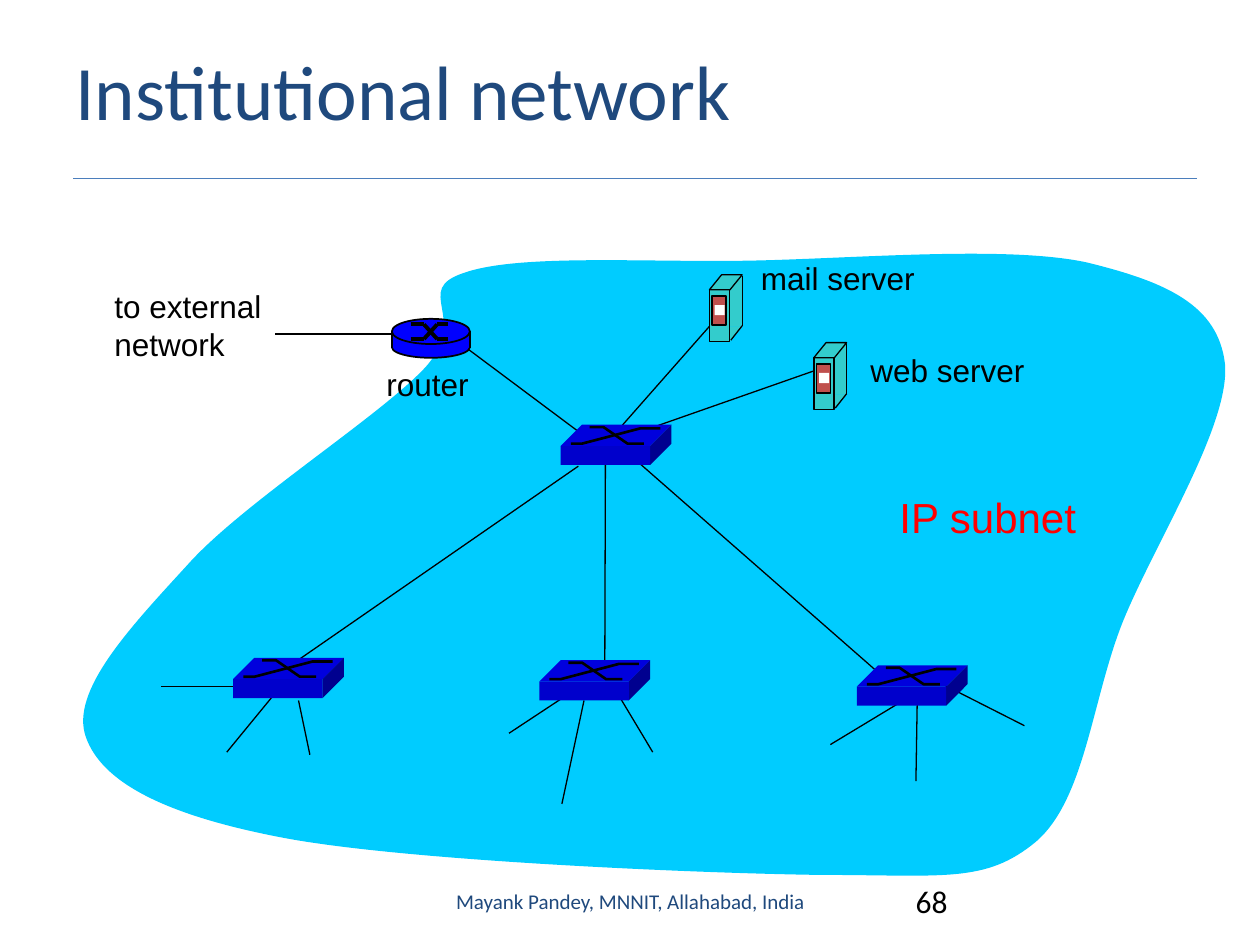
from dataclasses import dataclass
from itertools import pairwise
from typing import Optional

from lxml import etree
from pptx import Presentation
from pptx.dml.color import RGBColor
from pptx.enum.shapes import MSO_CONNECTOR, MSO_SHAPE
from pptx.enum.text import MSO_ANCHOR, MSO_AUTO_SIZE, PP_ALIGN
from pptx.oxml.ns import qn
from pptx.util import Pt

STRAIGHT = MSO_CONNECTOR.STRAIGHT
RECTANGLE, ELLIPSE = MSO_SHAPE.RECTANGLE, MSO_SHAPE.OVAL
PARALLELOGRAM = MSO_SHAPE.PARALLELOGRAM
TOP, MIDDLE = MSO_ANCHOR.TOP, MSO_ANCHOR.MIDDLE
LEFT, CENTER = PP_ALIGN.LEFT, PP_ALIGN.CENTER
NO_FIT, GROW = MSO_AUTO_SIZE.NONE, MSO_AUTO_SIZE.SHAPE_TO_FIT_TEXT
BOTTOM_SIDE = 2


@dataclass(frozen=True)
class Theme:
    heading: str = "1F497D"
    rule: str = "4B7EBC"
    ink: str = "000000"
    accent: str = "FF0000"
    cloud: str = "00CCFF"
    server: str = "33CCCC"
    slot: str = "C0504D"
    light: str = "FFFFFF"
    router: str = "0000FF"
    switch_front: str = "0000CC"
    switch_top: str = "0000DD"
    switch_side: str = "00008F"
    title_size: float = 44
    subnet_size: float = 24
    label_size: float = 18
    footer_size: float = 12
    label_font: str = "Arial"
    heading_font: str = "Calibri"


@dataclass(frozen=True)
class Link:
    start: tuple
    end: tuple
    below_switch: Optional[str] = None


@dataclass(frozen=True)
class Label:
    text: str
    box: tuple
    size: float
    color: str
    font: str
    wrap: bool = False
    anchor: int = TOP
    align: int = LEFT


THEME = Theme()

# Curve of the subnet: a start point, then two control points and an end per arc
CLOUD = [
    (700, 208),
    (696, 174), (666, 161), (621, 150), (575, 140), (486, 148), (427, 149),
    (368, 150), (296, 145), (265, 156), (235, 166), (269, 181), (243, 210),
    (217, 238), (138, 288), (107, 323), (74, 359), (40, 395), (49, 421),
    (58, 447), (94, 466), (163, 479), (233, 492), (397, 499), (468, 500),
    (540, 500), (563, 505), (592, 481), (621, 456), (624, 397), (643, 352),
    (662, 307), (703, 242), (700, 208),
]
SWITCHES = {"core": (320.4, 254.9), "left": (133.2, 388.1),
            "middle": (308.2, 389.5), "right": (489.6, 392.4)}
SERVERS = [(465.1, 195.8), (405.4, 157)]
ROUTER = (223.9, 182.2)
LINKS = [
    # Stubs to the hosts
    Link((146, 392.4), (92, 392.4)),
    Link((156.2, 397.4), (129.6, 429.8)),
    Link((170.6, 400.3), (177.1, 431.3)),
    Link((324.7, 396.7), (290.9, 419)),
    Link((333.4, 398.2), (321.1, 459.4), "middle"),
    Link((350.6, 392.4), (373, 429.8)),
    Link((516.2, 400.3), (474.5, 425.5)),
    Link((524.2, 397.4), (523.4, 446.4)),
    Link((535.7, 389.5), (585.4, 414.7)),
    # Core switch to the lower switches
    Link((330.5, 266.4), (169.2, 378)),
    Link((345.6, 265.7), (345.6, 381.6), "core"),
    Link((360.7, 260.6), (506.2, 388.1)),
    # Core switch to servers and router, router to outside
    Link((369.4, 245.5), (465.8, 211.7)),
    Link((352.8, 246.2), (405.4, 186.5)),
    Link((266.4, 198.7), (334.8, 249.8)),
    Link((223.9, 190.8), (157, 190.8)),
]
NETWORK_TEXT = (THEME.label_size, THEME.ink, THEME.label_font)
LABELS = [
    Label("to external\nnetwork", (58.3, 160.6, 108.7, 50.4), *NETWORK_TEXT),
    Label("router", (213.8, 205.2, 69.1, 28.8), *NETWORK_TEXT),
    Label("IP subnet", (506.9, 277.2, 122.4, 36), THEME.subnet_size,
          THEME.accent, THEME.label_font),
    Label("mail server", (427.7, 144.7, 107.3, 28.8), *NETWORK_TEXT),
    Label("web server", (490.3, 197.3, 107.3, 28.8), *NETWORK_TEXT),
    Label("Mayank Pandey, MNNIT, Allahabad, India", (246.2, 500.4, 228.2, 28.8),
          THEME.footer_size, THEME.heading, THEME.heading_font, True, MIDDLE, CENTER),
    Label("68", (516.2, 500.4, 167.8, 28.8), THEME.label_size,
          THEME.ink, THEME.heading_font, True),
]


def moved(origin: tuple, *points: tuple) -> list:
    return [(origin[0] + x, origin[1] + y) for x, y in points]


def paint(shape, fill: Optional[str], line: float = 0) -> None:
    shape.shadow.inherit = False
    if fill:
        shape.fill.solid()
        shape.fill.fore_color.rgb = RGBColor.from_string(fill)
    else:
        shape.fill.background()
    if line:
        shape.line.width = Pt(line)
        shape.line.color.rgb = RGBColor.from_string(THEME.ink)
    else:
        shape.line.fill.background()


def add_line(slide, start: tuple, end: tuple, width: float = 0.75, color: str = THEME.ink):
    connector = slide.shapes.add_connector(STRAIGHT, *map(Pt, (*start, *end)))
    connector.line.width = Pt(width)
    connector.line.color.rgb = RGBColor.from_string(color)
    etree.SubElement(connector._element.spPr, qn("a:effectLst"))
    return connector


def add_block(slide, kind: int, origin: tuple, box: tuple, fill: str, line: float = 0):
    x, y, width, height = box
    (left, top), = moved(origin, (x, y))
    shape = slide.shapes.add_shape(kind, *map(Pt, (left, top, width, height)))
    if kind == PARALLELOGRAM:
        shape.adjustments[0] = 0.81
    paint(shape, fill, line)
    return shape


def add_outline(slide, points: list, fill: Optional[str], line: float = 0):
    corners = [(Pt(x), Pt(y)) for x, y in points]
    builder = slide.shapes.build_freeform(*corners[0])
    builder.add_line_segments(corners[1:], close=fill is not None)
    shape = builder.convert_to_shape()
    paint(shape, fill, line)
    return shape


def add_cloud(slide) -> None:
    shape = add_outline(slide, CLOUD, THEME.cloud)
    # Turn each run of three straight segments into one Bézier arc
    segments = list(shape._element.iter(qn("a:lnTo")))
    for first, second, third in zip(segments[::3], segments[1::3], segments[2::3]):
        arc = etree.Element(qn("a:cubicBezTo"))
        first.addprevious(arc)
        for segment in (first, second, third):
            arc.append(segment[0])
            segment.getparent().remove(segment)


def add_server(slide, origin: tuple) -> None:
    add_block(slide, PARALLELOGRAM, origin, (0, 29.5, 18.7, 8.6), THEME.server)
    add_block(slide, RECTANGLE, origin, (9.8, 0, 8.6, 29.5), THEME.server)
    add_block(slide, RECTANGLE, origin, (0, 8.6, 11.5, 29.5), THEME.server, 0.75)
    add_block(slide, PARALLELOGRAM, origin, (0, 0, 18.7, 8.6), THEME.server, 0.75)
    for start, end in pairwise(moved(origin, (18.7, 0.7), (18.7, 29.2), (12.2, 37.4))):
        add_line(slide, start, end)
    add_block(slide, RECTANGLE, origin, (1.5, 12.2, 7.9, 16.6), THEME.slot, 0.75)
    add_block(slide, RECTANGLE, origin, (2.9, 17.3, 5.8, 5.8), THEME.light)


def add_router(slide, origin: tuple) -> None:
    add_block(slide, ELLIPSE, origin, (0, 10.1, 44.6, 12.2), THEME.router, 1)
    add_block(slide, RECTANGLE, origin, (0, 8.6, 44.6, 7.9), THEME.router)
    for x in (0, 44.6):
        add_line(slide, *moved(origin, (x, 7.2), (x, 16.6)), width=1)
    add_block(slide, ELLIPSE, origin, (0, 0, 44.6, 14.4), THEME.router, 1)
    for near, far in ((3.2, 11.5), (11.5, 3.2)):
        stroke = moved(origin, (10.8, near), (18.4, near), (25.9, far), (32.4, far))
        for start, end in pairwise(stroke):
            add_line(slide, start, end, 2.25)


def add_switch(slide, origin: tuple):
    width, height, depth = 51.1, 10.8, 12.2
    right = width + depth
    add_outline(slide, moved(origin, (0, 0), (depth, -depth), (right, -depth), (width, 0)),
                THEME.switch_top)
    add_outline(slide, moved(origin, (width, 0), (right, -depth), (right, height - depth),
                             (width, height)), THEME.switch_side)
    front = add_block(slide, RECTANGLE, origin, (0, 0, width, height), THEME.switch_front)
    for stroke in (((5.8, -1.4), (12.2, -1.4), (45.4, -10.1), (56.9, -10.1)),
                   ((16.6, -10.8), (24.5, -10.8), (38.2, -1.4), (47.5, -1.4))):
        add_outline(slide, moved(origin, *stroke), None, 1.5)
    return front


def write_text(shape, label: Label) -> None:
    shape.left, shape.top, shape.width, shape.height = map(Pt, label.box)
    frame = shape.text_frame
    frame.text = label.text
    frame_format = {"word_wrap": label.wrap, "vertical_anchor": label.anchor,
                    "auto_size": NO_FIT if label.wrap else GROW}
    for name, value in frame_format.items():
        setattr(frame, name, value)
    for paragraph in frame.paragraphs:
        paragraph.alignment = label.align
        for name, value in {"name": label.font, "size": Pt(label.size)}.items():
            setattr(paragraph.font, name, value)
        paragraph.font.color.rgb = RGBColor.from_string(label.color)


def main() -> None:
    presentation = Presentation()
    presentation.slide_width, presentation.slide_height = Pt(720), Pt(540)
    slide = presentation.slides.add_slide(presentation.slide_layouts[5])

    # Title and rule
    write_text(slide.shapes.title, Label("Institutional network", (36, 12.2, 648, 77.8),
               THEME.title_size, THEME.heading, THEME.heading_font, True, MIDDLE))
    add_line(slide, (42, 102.2), (684, 102.2), color=THEME.rule)

    # Network, with links under the devices
    add_cloud(slide)
    connectors = [add_line(slide, link.start, link.end) for link in LINKS]
    for origin in SERVERS:
        add_server(slide, origin)
    add_router(slide, ROUTER)
    fronts = {name: add_switch(slide, origin) for name, origin in SWITCHES.items()}
    for link, connector in zip(LINKS, connectors):
        if link.below_switch:
            connector.begin_connect(fronts[link.below_switch], BOTTOM_SIDE)

    # Labels, footer and slide number
    for label in LABELS:
        write_text(slide.shapes.add_textbox(*map(Pt, label.box)), label)
    presentation.save("out.pptx")


if __name__ == "__main__":
    main()
